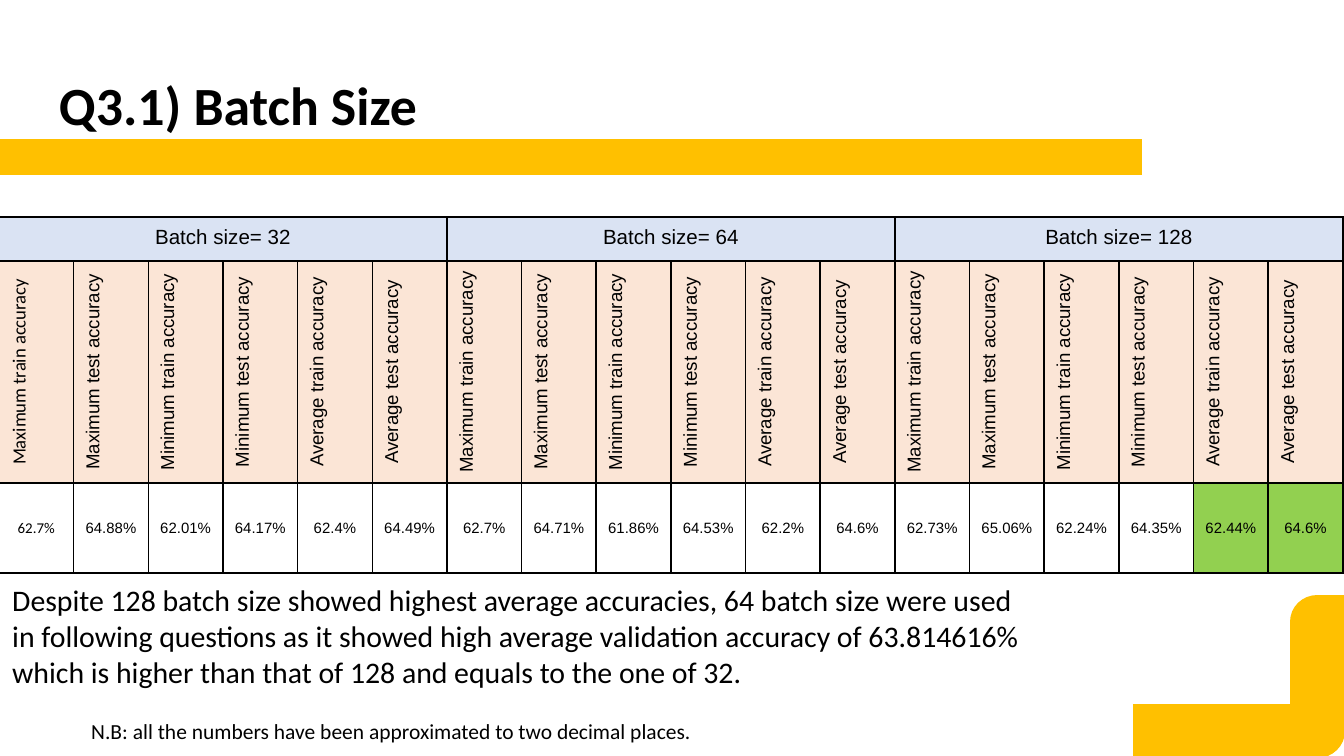
from lxml.etree import SubElement
from pptx import Presentation
from pptx.dml.color import RGBColor
from pptx.enum.shapes import MSO_CONNECTOR
from pptx.enum.text import MSO_ANCHOR, PP_ALIGN
from pptx.oxml import parse_xml
from pptx.oxml.ns import nsdecls, qn
from pptx.util import Pt

PX = 9144000 / 1344  # EMU in one px
BLACK = RGBColor(0x00, 0x00, 0x00)
AMBER = RGBColor(0xFF, 0xC0, 0x00)
PALE_BLUE = RGBColor(0xDA, 0xE3, 0xF3)
PEACH = RGBColor(0xFB, 0xE5, 0xD6)
GREEN = RGBColor(0x92, 0xD0, 0x50)


def px(*lengths):
    return [round(length * PX) for length in lengths]


def write(frame, text, **font_format):
    para = frame.paragraphs[0]
    span = para.add_run()
    span.text = text
    span.font.color.rgb = BLACK
    for name, value in font_format.items():
        setattr(span.font, name, value)
    return para


deck = Presentation()
deck.slide_width, deck.slide_height = px(1344, 756)
page = deck.slides.add_slide(deck.slide_layouts[5])

# Title
title = page.shapes.title
title.left, title.top, title.width, title.height = px(46, 66, 1252, 85)
frame = title.text_frame
frame.vertical_anchor = MSO_ANCHOR.MIDDLE
for side in ("left", "top", "right", "bottom"):
    setattr(frame, f"margin_{side}", px(13)[0])
para = write(frame, "Q3.1) Batch Size", size=Pt(28.8), name="Calibri", bold=True)
para.alignment = PP_ALIGN.LEFT
para.line_spacing = 0.9

# Amber bar under the title and stepped band in the corner
bands = [
    (MSO_CONNECTOR.STRAIGHT, (-1, 157, 1142, 157), 19.75),
    (MSO_CONNECTOR.ELBOW, (1133, 731, 1344, 622), 29.25),
]
for kind, ends, weight in bands:
    band = page.shapes.add_connector(kind, *px(*ends))
    band.line.color.rgb = AMBER
    band.line.width = Pt(weight)
    SubElement(band._element.spPr, qn("a:effectLst"))
    if kind == MSO_CONNECTOR.ELBOW:
        adjustments = band._element.spPr.find(qn("a:prstGeom")).get_or_add_avLst()
        SubElement(adjustments, qn("a:gd"), name="adj1", fmla="val 87400")

# Accuracy table: six measures for each batch size
batch_sizes = [32, 64, 128]
measures = [f"{level} {stage} accuracy"
            for level in ("Maximum", "Minimum", "Average")
            for stage in ("train", "test")]
accuracies = [
    "62.7%", "64.88%", "62.01%", "64.17%", "62.4%", "64.49%",
    "62.7%", "64.71%", "61.86%", "64.53%", "62.2%", "64.6%",
    "62.73%", "65.06%", "62.24%", "64.35%", "62.44%", "64.6%",
]
column_count = len(accuracies)
group = len(measures)
table = page.shapes.add_table(3, column_count, *px(-1, 217, 1344, 356)).table
table.first_row = table.horz_banding = False
for column in table.columns:
    column.width = px(1344 / column_count)[0]
for row, height in zip(table.rows, px(44, 222, 90)):
    row.height = height

# Borders and margins of every cell
for cell in table.iter_cells():
    properties = cell._tc.get_or_add_tcPr()
    for edge in "LRTB":
        properties.append(parse_xml(
            f'<a:ln{edge} {nsdecls("a")} w="12700"><a:solidFill>'
            f'<a:srgbClr val="{BLACK}"/></a:solidFill></a:ln{edge}>'))
    for side in ("left", "top", "right", "bottom"):
        setattr(cell, f"margin_{side}", px(9)[0])

# Batch size headings
for index, batch_size in enumerate(batch_sizes):
    first = index * group
    cell = table.cell(0, first)
    cell.merge(table.cell(0, first + group - 1))
    cell.fill.solid()
    cell.fill.fore_color.rgb = PALE_BLUE
    para = write(cell.text_frame, f"Batch size= {batch_size}", size=Pt(11), name="Arial")
    para.alignment = PP_ALIGN.CENTER

# Upright measure names and the accuracies below them
for index, accuracy in enumerate(accuracies):
    font_name = "Calibri" if index == 0 else "Arial"
    best = index >= column_count - 2
    entries = [(1, measures[index % group], 10, PEACH),
               (2, accuracy, 8, GREEN if best else None)]
    for row_index, text, size, color in entries:
        cell = table.cell(row_index, index)
        cell.vertical_anchor = MSO_ANCHOR.MIDDLE
        if row_index == 1:
            cell._tc.get_or_add_tcPr().set("vert", "vert270")
        if color is None:
            cell.fill.background()
        else:
            cell.fill.solid()
            cell.fill.fore_color.rgb = color
        para = write(cell.text_frame, text, size=Pt(size), name=font_name)
        para.alignment = PP_ALIGN.CENTER

# Conclusion and footnote
notes = [
    ((-1, 575, 1043, 122), 16,
     "Despite 128 batch size showed highest average accuracies, 64 batch size were used "
     "in following questions as it showed high average validation accuracy of 63.814616% "
     "which is higher than that of 128 and equals to the one of 32."),
    ((78, 711, 909, 39), 11.5,
     "N.B: all the numbers have been approximated to two decimal places."),
]
for place, size, text in notes:
    box = page.shapes.add_textbox(*px(*place))
    box.text_frame.word_wrap = True
    write(box.text_frame, text, size=Pt(size), name="Calibri")

deck.save("out.pptx")
